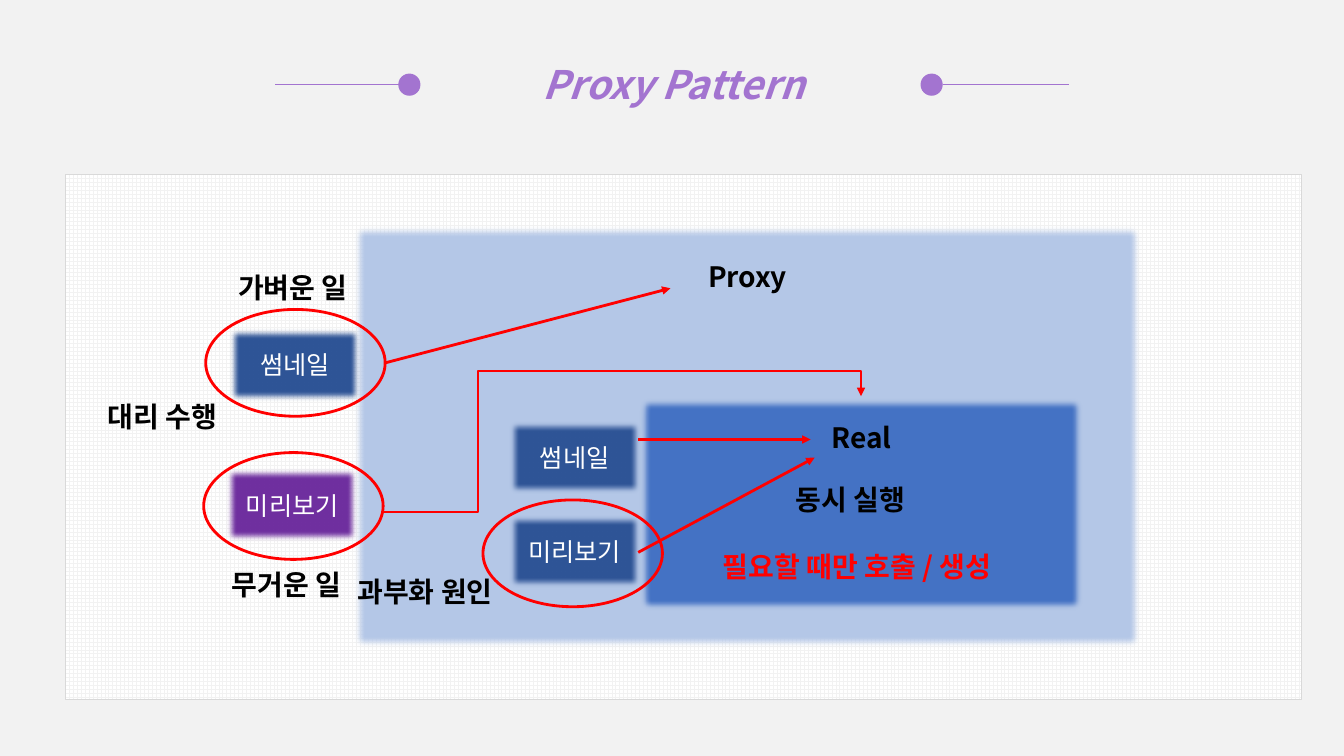
from lxml.etree import SubElement
from pptx import Presentation
from pptx.dml.color import RGBColor
from pptx.enum.dml import MSO_PATTERN
from pptx.enum.shapes import MSO_CONNECTOR as CONN, MSO_SHAPE as SHAPE
from pptx.enum.text import MSO_ANCHOR as ANCHOR, MSO_AUTO_SIZE as AUTO, PP_ALIGN as ALIGN
from pptx.oxml.ns import qn
from pptx.util import Pt

PX = 9144
FONT = "Noto Sans CJK KR"
GRAY, VIOLET, RED, BLACK, WHITE = "F2F2F2", "A374D0", "FF0000", "000000", "FFFFFF"
NAVY, PURPLE, SKY, BLUE, EDGE = "2F5597", "7030A0", "B4C7E7", "4472C4", "325491"
SOFT_EDGE = 63500

TITLE = "Proxy Pattern"
TITLE_BOX = (401, 31, 534, 72)
TITLE_FORMAT = {"size": Pt(28), "bold": True, "italic": True}
LABEL_FORMAT = {"size": Pt(20), "bold": True}
TASK_FORMAT = {"size": Pt(18)}

PANEL = (65, 173, 1226, 521)
TITLE_LINE = (273, 84, 1060, 84)
DOTS = [(395, 73), (913, 73)]
DOT_SIZE = 22
TASK_SIZE = (136, 78)
RING_SIZE = (178, 106)
LABEL_H = 44

OUTER_TASKS = [("썸네일", 225, 323, NAVY), ("미리보기", 222, 462, PURPLE)]
INNER_TASKS = [("썸네일", 502, 415, NAVY), ("미리보기", 502, 508, NAVY)]
PROXY_AREA = (349, 222, 785, 423)
REAL_AREA = (633, 393, 442, 214)
ARROWS = [(382, 360, 665, 286), (633, 436, 804, 436), (633, 548, 808, 454)]
BENT_ARROW = (381, 508, 854, 393)
BENDS = {"adj1": 19700, "adj2": 121700}
RINGS = [(479, 496), (204, 307), (202, 449)]
LABELS = [
    ("Proxy", 604, 253, 275, BLACK),
    ("Real", 717, 412, 275, BLACK),
    ("필요할 때만 호출 / 생성", 684, 540, 332, RED),
    ("과부화 원인", 284, 565, 275, BLACK),
    ("대리 수행", 68, 391, 187, BLACK),
    ("동시 실행", 706, 474, 275, BLACK),
    ("가벼운 일", 197, 263, 187, BLACK),
    ("무거운 일", 191, 558, 187, BLACK),
]


def color(value):
    return RGBColor.from_string(value)


def emu(*lengths):
    return [n * PX for n in lengths]


def set_line(line, value, width):
    line.color.rgb = color(value)
    line.width = Pt(width)


def set_fill(shape, value):
    shape.fill.solid()
    shape.fill.fore_color.rgb = color(value)


def write(shape, text, value, formats, anchor=ANCHOR.TOP, auto=AUTO.SHAPE_TO_FIT_TEXT):
    tf = shape.text_frame
    for name, setting in {"word_wrap": True, "vertical_anchor": anchor, "auto_size": auto}.items():
        setattr(tf, name, setting)
    p = tf.paragraphs[0]
    p.alignment = ALIGN.CENTER
    r = p.add_run()
    r.text = text
    for name, setting in {"name": FONT, **formats}.items():
        setattr(r.font, name, setting)
    r.font.color.rgb = color(value)
    SubElement(r.font._element, qn("a:ea"), typeface=FONT)
    return p


def add_shape(s, kind, box, fill=None, line=None, width=1, soft=False):
    sp = s.shapes.add_shape(kind, *emu(*box))
    sp.shadow.inherit = False
    if fill:
        set_fill(sp, fill)
    else:
        sp.fill.background()
    if line:
        set_line(sp.line, line, width)
    else:
        sp.line.fill.background()
    if soft:
        effects = sp.element.spPr.find(qn("a:effectLst"))
        SubElement(effects, qn("a:softEdge"), rad=str(SOFT_EDGE))
    return sp


def add_line(s, points, value, width, kind=CONN.STRAIGHT, arrow=True):
    c = s.shapes.add_connector(kind, *emu(*points))
    set_line(c.line, value, width)
    spPr = c.element.spPr
    if arrow:
        SubElement(spPr.find(qn("a:ln")), qn("a:tailEnd"), type="triangle")
    SubElement(spPr, qn("a:effectLst"))
    return c


def add_tasks(s, tasks):
    for text, x, y, fill in tasks:
        sp = add_shape(s, SHAPE.RECTANGLE, (x, y, *TASK_SIZE), fill, soft=True)
        write(sp, text, WHITE, TASK_FORMAT, ANCHOR.MIDDLE, AUTO.NONE)


def add_header(s):
    rule = add_line(s, TITLE_LINE, VIOLET, 0.5, arrow=False)
    title = s.shapes.title
    title.left, title.top, title.width, title.height = emu(*TITLE_BOX)
    set_fill(title, GRAY)
    write(title, TITLE, VIOLET, TITLE_FORMAT).line_spacing = 1.5
    rule.element.addnext(title.element)
    for x, y in DOTS:
        add_shape(s, SHAPE.OVAL, (x, y, DOT_SIZE, DOT_SIZE), VIOLET)


def add_bent_arrow(s):
    c = add_line(s, BENT_ARROW, RED, 2, CONN.ELBOW)
    geom = c.element.spPr.find(qn("a:prstGeom"))
    geom.set("prst", "bentConnector4")
    guides = geom.find(qn("a:avLst"))
    for name, value in BENDS.items():
        SubElement(guides, qn("a:gd"), name=name, fmla=f"val {value}")


def main():
    prs = Presentation()
    prs.slide_width, prs.slide_height = emu(1333, 750)
    s = prs.slides.add_slide(prs.slide_layouts[5])
    set_fill(s.background, GRAY)

    panel = add_shape(s, SHAPE.RECTANGLE, PANEL, WHITE, "D9D9D9")
    panel.fill.patterned()
    panel.fill.pattern = MSO_PATTERN.LARGE_GRID
    panel.fill.fore_color.rgb = color(GRAY)
    panel.fill.back_color.rgb = color(WHITE)

    add_header(s)
    add_tasks(s, OUTER_TASKS)
    add_shape(s, SHAPE.RECTANGLE, PROXY_AREA, SKY, soft=True)
    add_tasks(s, INNER_TASKS)
    add_shape(s, SHAPE.RECTANGLE, REAL_AREA, BLUE, EDGE, soft=True)

    for points in ARROWS:
        add_line(s, points, RED, 2)
    add_bent_arrow(s)
    for x, y in RINGS:
        add_shape(s, SHAPE.OVAL, (x, y, *RING_SIZE), line=RED, width=2)
    for text, x, y, w, value in LABELS:
        write(s.shapes.add_textbox(*emu(x, y, w, LABEL_H)), text, value, LABEL_FORMAT)

    prs.save("out.pptx")


if __name__ == "__main__":
    main()
